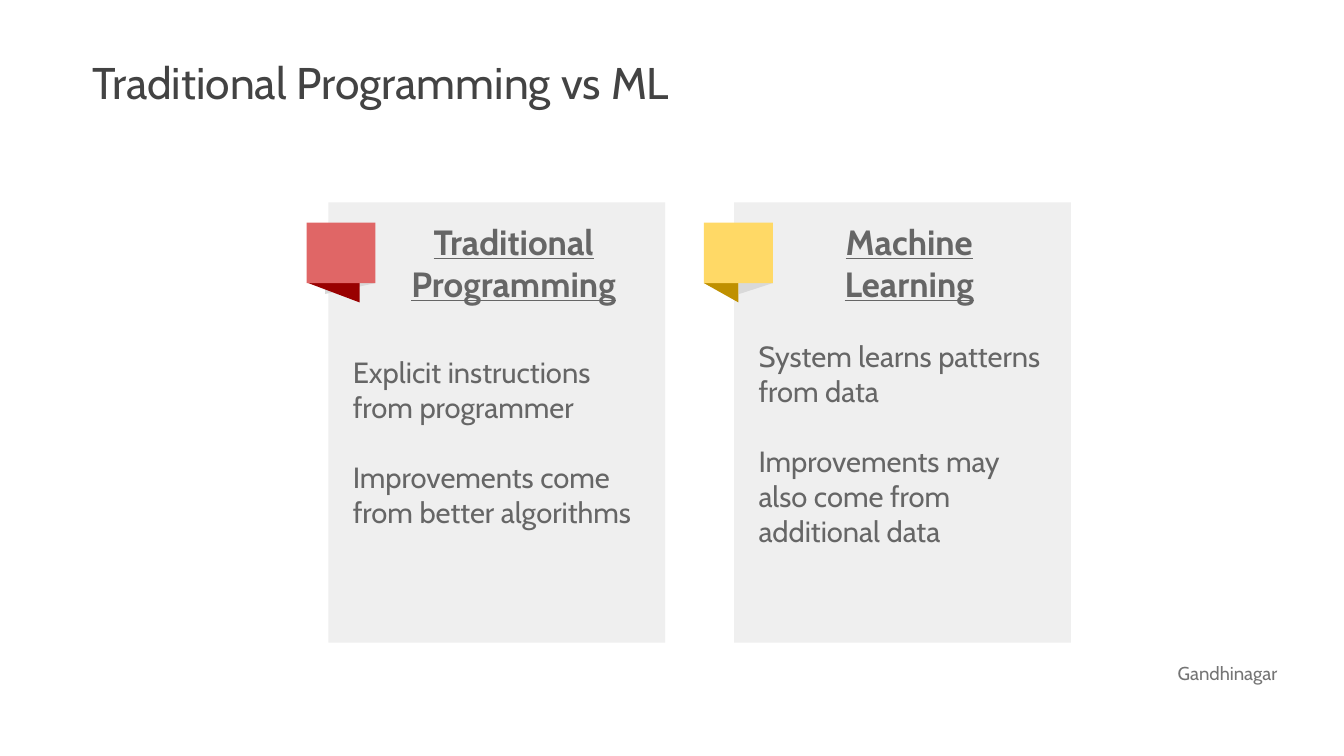
from dataclasses import dataclass

from pptx import Presentation
from pptx.dml.color import RGBColor
from pptx.enum.shapes import MSO_SHAPE
from pptx.enum.text import MSO_ANCHOR, PP_ALIGN
from pptx.util import Inches, Pt

RECT, TRIANGLE = MSO_SHAPE.RECTANGLE, MSO_SHAPE.RIGHT_TRIANGLE
TOP, MIDDLE = MSO_ANCHOR.TOP, MSO_ANCHOR.MIDDLE
LEFT, CENTER = PP_ALIGN.LEFT, PP_ALIGN.CENTER
COLS, ROWS = 160, 90


@dataclass(frozen=True)
class Theme:
    font: str = "Cabin"
    title: str = "434343"
    text: str = "666666"
    footer: str = "747474"
    card: str = "EFEFEF"
    shade: str = "D9D9D9"
    title_size: int = 38
    heading_size: int = 30
    body_size: int = 25
    footer_size: int = 16


THEME = Theme()
CARD_LEFT, CARD_TOP, CARD_PITCH = 39.1, 24.1, 48.3
CARD_WIDTH, CARD_HEIGHT = 40.1, 52.4
RIBBON_TOP, RIBBON_WIDTH, RIBBON_HEIGHT = 26.5, 8.2, 7.2

CARDS = [
    {
        "heading": "Traditional Programming",
        "body": ["Explicit instructions from programmer",
                 "Improvements come from better algorithms"],
        "colors": ("E06666", "990000"),
        "ribbon": -2.6, "fold": (0.2, 6.1), "shade": 6.0,
        "heading_left": 6.4, "body_top": 42.2,
    },
    {
        "heading": "Machine Learning",
        "body": ["System learns patterns from data",
                 "Improvements may also come from additional data"],
        "colors": ("FFD966", "BF9000"),
        "ribbon": -3.6, "fold": (0, 4.1), "shade": 4.0,
        "heading_left": 5.2, "body_top": 40.3,
    },
]


def grid(prs, x, y, w, h):
    col, row = prs.slide_width / COLS, prs.slide_height / ROWS
    return [round(v) for v in (x * col, y * row, w * col, h * row)]


def add_block(prs, s, kind, box, color, flip=False):
    sp = s.shapes.add_shape(kind, *grid(prs, *box))
    sp.shadow.inherit = False
    sp.fill.solid()
    sp.fill.fore_color.rgb = RGBColor.from_string(color)
    sp.line.fill.background()
    if kind == TRIANGLE:
        sp.rotation = 180
    if flip:
        sp._element.spPr.xfrm.set("flipH", "1")


def add_text(prs, s, box, lines, size, color, align=LEFT, anchor=TOP,
             gap=0, spacing=1.0, **style):
    tf = s.shapes.add_textbox(*grid(prs, *box)).text_frame
    frame = {"word_wrap": True, "vertical_anchor": anchor, "margin_left": 0,
             "margin_right": 0, "margin_top": 0, "margin_bottom": 0}
    for name, value in frame.items():
        setattr(tf, name, value)
    font = {"name": THEME.font, "size": Pt(size), **style}
    for i, line in enumerate(lines):
        p = tf.add_paragraph() if i else tf.paragraphs[0]
        p.alignment = align
        p.line_spacing = spacing
        p.space_before = Pt(gap if i else 0)
        r = p.add_run()
        r.text = line
        for name, value in font.items():
            setattr(r.font, name, value)
        r.font.color.rgb = RGBColor.from_string(color)


def add_ribbon(prs, s, x, card):
    front, back = card["colors"]
    left, bottom = x + card["ribbon"], RIBBON_TOP + RIBBON_HEIGHT
    offset, width = card["fold"]
    shade = card["shade"]
    add_block(prs, s, TRIANGLE,
              (left + RIBBON_WIDTH - shade, bottom, shade, 1.3),
              THEME.shade, flip=True)
    add_block(prs, s, TRIANGLE, (left + offset, bottom, width, 2.3), back)
    add_block(prs, s, RECT,
              (left, RIBBON_TOP, RIBBON_WIDTH, RIBBON_HEIGHT), front)


def add_card(prs, s, x, card):
    add_block(prs, s, RECT, (x, CARD_TOP, CARD_WIDTH, CARD_HEIGHT), THEME.card)
    add_ribbon(prs, s, x, card)
    add_text(prs, s, (x + card["heading_left"] + 1, 21.6, 29.3, 19.2),
             [card["heading"]], THEME.heading_size, THEME.text,
             align=CENTER, anchor=MIDDLE, bold=True, underline=True)
    add_text(prs, s, (x + 2.9, card["body_top"], 33.9, 33),
             card["body"], THEME.body_size, THEME.text, gap=30)


def main():
    prs = Presentation()
    prs.slide_width, prs.slide_height = Inches(16), Inches(9)
    s = prs.slides.add_slide(prs.slide_layouts[6])
    add_text(prs, s, (11, 6.6, 91.3, 8.1), ["Traditional Programming vs ML"],
             THEME.title_size, THEME.title)
    add_text(prs, s, (140.2, 78.4, 18, 9.2), ["Gandhinagar"],
             THEME.footer_size, THEME.footer, spacing=1.15)
    for i, card in enumerate(CARDS):
        add_card(prs, s, CARD_LEFT + i * CARD_PITCH, card)
    prs.save("out.pptx")


if __name__ == "__main__":
    main()
